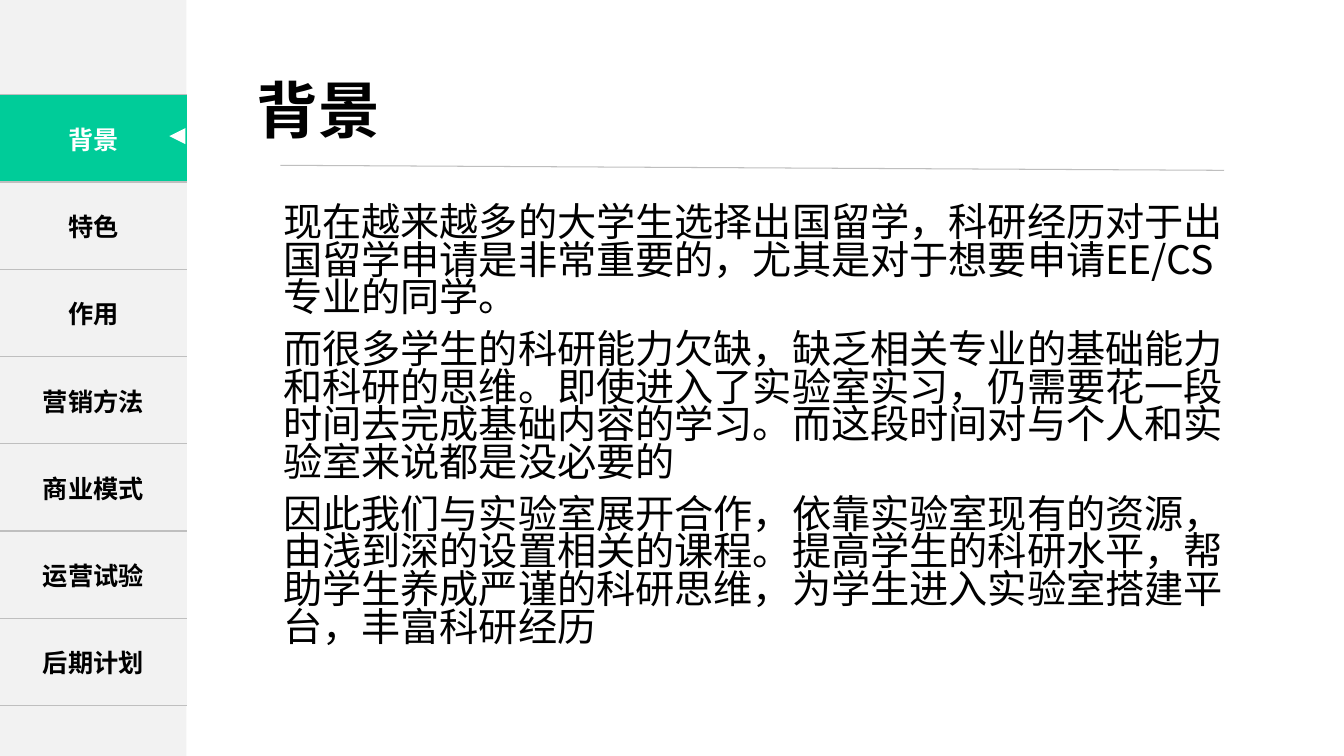
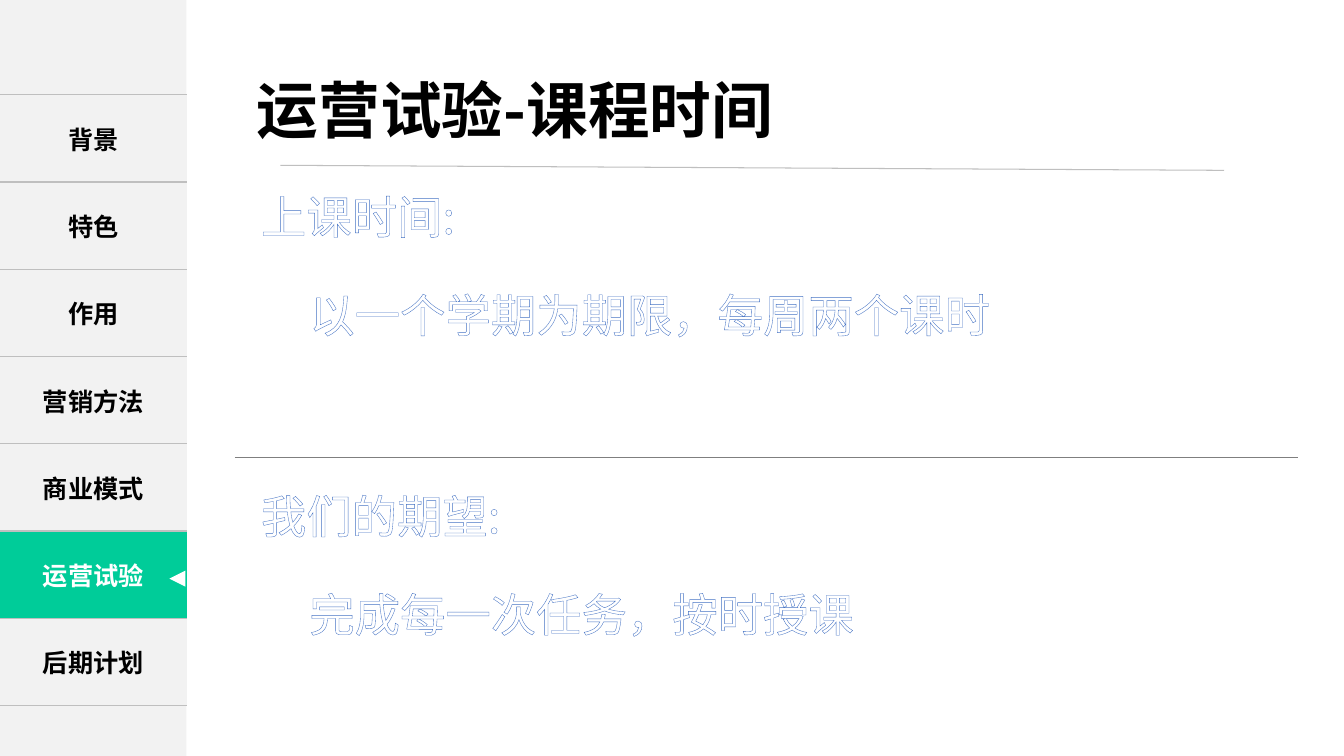
from lxml import etree
from pptx import Presentation
from pptx import util as u
from pptx.dml.color import RGBColor
from pptx.enum import shapes, text
from pptx.oxml import ns

WHITE = RGBColor(0xFF, 0xFF, 0xFF)
BLACK = RGBColor(0x00, 0x00, 0x00)
PALE = RGBColor(0xF2, 0xF2, 0xF2)
SILVER = RGBColor(0xBF, 0xBF, 0xBF)
GREY = RGBColor(0x7F, 0x7F, 0x7F)
GREEN = RGBColor(0x00, 0xCC, 0x99)
BLUE = RGBColor(0x44, 0x72, 0xC4)

WIDE, HIGH = 13.33, 7.5
SIDE = 1.85
HAN = "Noto Sans CJK SC"
MENU = ["背景", "特色", "作用", "营销方法", "商业模式", "运营试验", "后期计划"]
TITLE = {"size": u.Pt(44), "bold": True, "name": HAN}
PLAIN = {"size": u.Pt(28), "name": HAN}
LARGE = {"size": u.Pt(32.4), "name": HAN}
LABEL = {"size": u.Pt(18), "bold": True, "name": "Calibri"}

STORY = [
    "现在越来越多的大学生选择出国留学，科研经历对于出国留学申请是非常重要的，尤其是对于想要申请EE/CS专业的同学。",
    "而很多学生的科研能力欠缺，缺乏相关专业的基础能力和科研的思维。即使进入了实验室实习，仍需要花一段时间去完成基础内容的学习。而这段时间对与个人和实验室来说都是没必要的",
    "因此我们与实验室展开合作，依靠实验室现有的资源，由浅到深的设置相关的课程。提高学生的科研水平，帮助学生养成严谨的科研思维，为学生进入实验室搭建平台，丰富科研经历",
]
TIMES = ["上课时间:", "以一个学期为期限，每周两个课时"]
HOPES = ["我们的期望:", "完成每一次任务，按时授课"]


def sub(node, tag, **attrs):
    return etree.SubElement(node, ns.qn(tag), **attrs)


def stroke(node, color, width):
    line = sub(node, "a:ln", w=str(int(u.Pt(width))))
    fill = sub(line, "a:solidFill")
    sub(fill, "a:srgbClr", val=str(color))
    return line


def write(para, words, style, color=BLACK):
    run = para.add_run()
    run.text = words
    for key, value in style.items():
        setattr(run.font, key, value)
    props = run._r.get_or_add_rPr()
    sub(props, "a:ea", typeface=HAN)
    run.font.color.rgb = color
    return props


def block(slide, box, lines, style, form, color=BLACK, edge=None, indent=0):
    frame = slide.shapes.add_textbox(*map(u.Inches, box)).text_frame
    frame.word_wrap = True
    for row, words in enumerate(lines):
        para = frame.add_paragraph() if row else frame.paragraphs[0]
        for key, value in form.items():
            setattr(para, key, value)
        if row and indent:
            para._p.get_or_add_pPr().set("marL", str(u.Inches(indent)))
        props = write(para, words, style, color)
        if edge:
            props.insert(0, stroke(props, edge, 0.8))
    return frame


def rule(slide, ends, color, width):
    line = slide.shapes.add_connector(
        shapes.MSO_CONNECTOR.STRAIGHT, *map(u.Inches, ends))
    line.line.color.rgb = color
    line.line.width = u.Pt(width)
    sub(line._element.spPr, "a:effectLst")


def solid(slide, kind, box, color):
    shape = slide.shapes.add_shape(kind, *map(u.Inches, box))
    shape.shadow.inherit = False
    shape.fill.solid()
    shape.fill.fore_color.rgb = color
    shape.line.fill.background()
    return shape


def border(cell):
    props = cell._tc.get_or_add_tcPr()
    for side in "LR":
        sub(sub(props, "a:ln" + side, w="0"), "a:noFill")
    for side in "TB":
        stroke(props, SILVER, 1).tag = ns.qn("a:ln" + side)


def sidebar(slide, active, mark):
    solid(slide, shapes.MSO_SHAPE.RECTANGLE, (0, 0, SIDE, HIGH), PALE)
    box = (0, 0.94, SIDE, 6.06)
    table = slide.shapes.add_table(len(MENU), 1, *map(u.Inches, box)).table
    table.first_row = table.horz_banding = False
    for row, words in enumerate(MENU):
        here = words == active
        cell = table.cell(row, 0)
        border(cell)
        cell.fill.solid()
        cell.fill.fore_color.rgb = GREEN if here else PALE
        cell.vertical_anchor = text.MSO_ANCHOR.MIDDLE
        para = cell.text_frame.paragraphs[0]
        para.alignment = text.PP_ALIGN.CENTER
        write(para, words, LABEL, WHITE if here else BLACK)
    arrow = solid(slide, shapes.MSO_SHAPE.ISOSCELES_TRIANGLE,
                  (SIDE - 0.17, mark, 0.16, 0.16), WHITE)
    arrow.rotation = 270


def page(deck, title, active, mark):
    slide = deck.slides.add_slide(deck.slide_layouts[6])
    sidebar(slide, active, mark)
    head = block(slide, (2.45, 0.4, 9.97, 1.45), [title], TITLE,
                 {"line_spacing": 0.9})
    head.vertical_anchor = text.MSO_ANCHOR.MIDDLE
    rule(slide, (2.78, 1.64, 12.14, 1.69), SILVER, 0.75)
    return slide


def story(slide, box):
    block(slide, box, STORY, PLAIN,
          {"line_spacing": 0.8, "space_before": u.Pt(10)})


def halves(slide, box):
    left, top, width, height = box
    form = {"line_spacing": 0.7, "space_before": u.Pt(43)}
    for row, lines in enumerate([TIMES, HOPES]):
        part = (left, top + row * height, width, height / 2)
        block(slide, part, lines, LARGE, form, WHITE, BLUE, 0.48)
    rule(slide, (2.33, 4.54, 12.87, 4.54), GREY, 0.5)


def main():
    deck = Presentation()
    deck.slide_width, deck.slide_height = u.Inches(WIDE), u.Inches(HIGH)
    story(page(deck, "背景", "背景", 1.27), (2.71, 2, 9.71, 4.76))
    halves(page(deck, "运营试验-课程时间", "运营试验", 5.66),
           (2.49, 1.97, 10.5, 2.97))
    deck.save("out.pptx")


if __name__ == "__main__":
    main()
